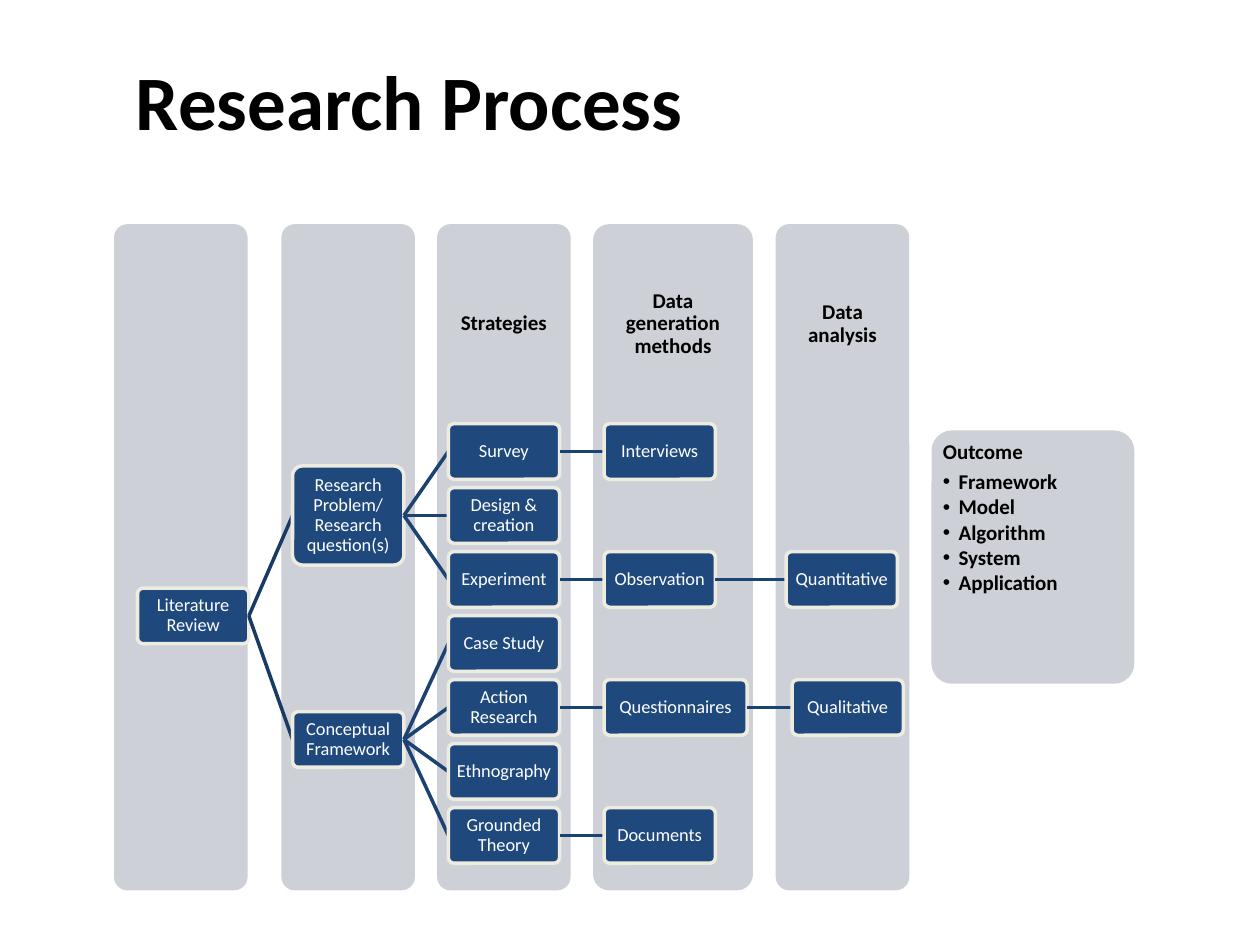
"""Build a slide that shows the research process as a tree across columns."""
from lxml import etree
from pptx import Presentation
from pptx.dml.color import RGBColor
from pptx.enum.shapes import MSO_CONNECTOR, MSO_SHAPE
from pptx.enum.text import MSO_ANCHOR, PP_ALIGN
from pptx.oxml.ns import qn
from pptx.util import Pt

ROUNDED = MSO_SHAPE.ROUNDED_RECTANGLE
STRAIGHT = MSO_CONNECTOR.STRAIGHT
TOP, MIDDLE = MSO_ANCHOR.TOP, MSO_ANCHOR.MIDDLE
LEFT, CENTER = PP_ALIGN.LEFT, PP_ALIGN.CENTER

FONT = "Calibri"
COLORS = {
    "text": "000000", "panel": "CDD0D7", "node": "1F497D", "border": "EEECE1",
    "node_text": "FFFFFF", "trunk": "193A64", "branch": "1C4271",
}
NODE_W, NODE_H, ROW_GAP, FIRST_ROW = 63.6, 31.8, 36.57, 129.9
COLUMNS = [
    (0, 76.3, ""), (95.6, 76.3, ""), (184.6, 76.3, "Strategies"),
    (273.7, 91.4, "Data generation methods"), (378.1, 76.3, "Data analysis"),
]
NODES = [
    ("Literature Review", None, 13.4, 2.57, NODE_W, NODE_H),
    ("Research Problem/ Research question(s)", "Literature Review", 102, 1, NODE_W, 56.6),
    ("Conceptual Framework", "Literature Review", 102, 4.5, NODE_W, NODE_H),
]
STRATEGIES = [
    "Survey", "Design & creation", "Experiment", "Case Study",
    "Action Research", "Ethnography", "Grounded Theory",
]
NODES += [(name, NODES[1 if row < 3 else 2][0], 191, row, NODE_W, NODE_H)
          for row, name in enumerate(STRATEGIES)]
NODES += [
    ("Interviews", "Survey", 280, 0, NODE_W, NODE_H),
    ("Observation", "Experiment", 280, 2, NODE_W, NODE_H),
    ("Questionnaires", "Action Research", 280, 4, 81.8, NODE_H),
    ("Documents", "Grounded Theory", 280, 6, NODE_W, NODE_H),
    ("Quantitative", "Observation", 384, 2, NODE_W, NODE_H),
    ("Qualitative", "Questionnaires", 387.4, 4, NODE_W, NODE_H),
]
OUTCOMES = ["Framework", "Model", "Algorithm", "System", "Application"]


def rgb(name):
    """Return the named colour."""
    return RGBColor.from_string(COLORS[name])


def write(sp, lines, size, color, bold, align, anchor, margins):
    """Write the lines into a shape, one paragraph each."""
    tf = sp.text_frame
    tf.word_wrap = True
    tf.vertical_anchor = anchor
    tf.margin_left, tf.margin_top, tf.margin_right, tf.margin_bottom = map(Pt, margins)
    tf.text = "\n".join(lines)
    for p in tf.paragraphs:
        p.alignment = align
        p.line_spacing = 0.9
        for r in p.runs:
            r.font.name, r.font.size, r.font.bold = FONT, Pt(size), bold
            r.font.color.rgb = rgb(color)


def add_box(slide, x, y, w, h, fill, border=None):
    """Add a rounded box with an optional border."""
    sp = slide.shapes.add_shape(ROUNDED, Pt(x), Pt(y), Pt(w), Pt(h))
    sp.adjustments[0] = 0.1
    sp.shadow.inherit = False
    sp.fill.solid()
    sp.fill.fore_color.rgb = rgb(fill)
    if border:
        sp.line.color.rgb = rgb(border)
        sp.line.width = Pt(2)
    else:
        sp.line.fill.background()
    return sp


def add_link(slide, parent, child_x, child_y, color):
    """Add a line from the parent's right side to a point."""
    line = slide.shapes.add_connector(STRAIGHT, 0, 0, Pt(child_x), Pt(child_y))
    line.begin_connect(parent, 3)
    line.line.color.rgb = rgb(color)
    line.line.width = Pt(2)
    etree.SubElement(line._element.spPr, qn("a:effectLst"))
    return line


def add_title(slide, x, y, w, h):
    """Add the slide title."""
    sp = slide.shapes.add_textbox(Pt(x), Pt(y), Pt(w), Pt(h))
    write(sp, ["Research Process"], 44, "text", True, LEFT, MIDDLE, (7.2, 3.6, 7.2, 3.6))


def add_columns(slide, x, y, h):
    """Add the column panels with headings in their top 30 percent."""
    for dx, w, heading in COLUMNS:
        sp = add_box(slide, x + dx, y, w, h, "panel")
        if heading:
            write(sp, [heading], 12, "text", True, CENTER, MIDDLE, (4.2, 4.2, 4.2, 0.7 * h + 4.2))


def add_tree(slide, x, y):
    """Add the nodes, each joined to its parent."""
    boxes = {}
    for name, parent, dx, row, w, h in NODES:
        left, mid = x + dx, y + FIRST_ROW + row * ROW_GAP
        link = None
        if parent:
            color = "trunk" if parent == NODES[0][0] else "branch"
            link = add_link(slide, boxes[parent], left, mid, color)
        sp = boxes[name] = add_box(slide, left, mid - h / 2, w, h, "node", "border")
        write(sp, [name], 10.5, "node_text", False, CENTER, MIDDLE, (0, 0, 0, 0))
        if link:
            link.end_connect(sp, 1)


def add_outcome(slide, x, y, w, h):
    """Add the outcome panel with its bulleted list."""
    sp = add_box(slide, x, y, w, h, "panel")
    write(sp, ["Outcome"] + OUTCOMES, 12, "text", True, LEFT, TOP, (3.1, 3.1, 3.1, 3.1))
    heading, *items = sp.text_frame.paragraphs
    heading.space_after = Pt(4)
    for p in items:
        p.space_after = Pt(1.5)
        pPr = p._p.get_or_add_pPr()
        pPr.set("marL", str(Pt(9)))
        pPr.set("indent", str(-Pt(9)))
        etree.SubElement(pPr, qn("a:buFont"), typeface="Arial")
        etree.SubElement(pPr, qn("a:buChar"), char="•")


def main():
    """Build and save the slide."""
    prs = Presentation()
    prs.slide_width, prs.slide_height = Pt(720), Pt(540)
    slide = prs.slides.add_slide(prs.slide_layouts[6])
    add_title(slide, 70.6, 15.1, 612, 90)
    add_outcome(slide, 532.3, 246, 115.9, 144.7)
    add_columns(slide, 65.2, 128.1, 380.7)
    add_tree(slide, 65.2, 128.1)
    prs.save("out.pptx")


if __name__ == "__main__":
    main()
